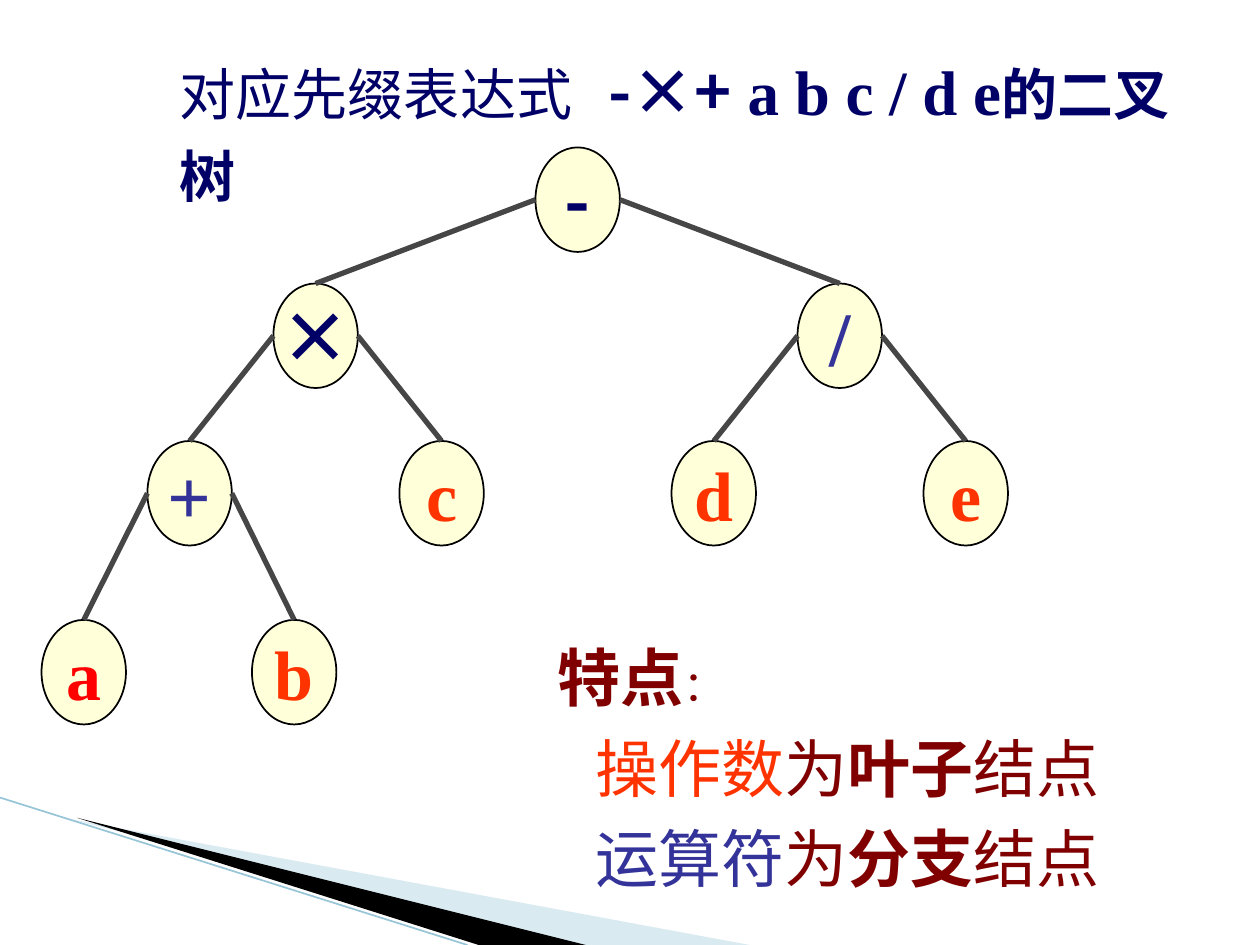
from lxml import etree
from pptx import Presentation
from pptx.dml.color import RGBColor
from pptx.enum.shapes import MSO_CONNECTOR, MSO_SHAPE
from pptx.enum.text import MSO_ANCHOR, PP_ALIGN
from pptx.oxml.ns import qn
from pptx.util import Inches, Pt

LINE, OVAL = MSO_CONNECTOR.STRAIGHT, MSO_SHAPE.OVAL
MIDDLE, CENTER = MSO_ANCHOR.MIDDLE, PP_ALIGN.CENTER
SERIF, SANS = "Times New Roman", "Noto Sans CJK SC"
COLORS = {
    "navy": "000066", "operator": "333399", "operand": "FF3300", "red": "FF0000",
    "maroon": "800000", "node": "FFFFD9", "black": "000000", "edge": "464646",
    "band": "A0CBDC", "rule": "97C5D8",
}
NODE_W, NODE_H = 0.67, 0.83
# name: (left, top) in the tree, symbol, font, size, colour
NODES = {
    "minus": (3.92, 0, "-", SANS, 40, "navy"),
    "times": (1.84, 1.08, "×", SANS, 40, "navy"),
    "divide": (6, 1.08, "/", SERIF, 44, "operator"),
    "plus": (0.84, 2.33, "+", SERIF, 44, "operator"),
    "c": (2.84, 2.33, "c", SERIF, 40, "operand"),
    "d": (5, 2.33, "d", SERIF, 40, "operand"),
    "e": (7, 2.33, "e", SERIF, 40, "operand"),
    "a": (0, 3.75, "a", SERIF, 40, "red"),
    "b": (1.67, 3.75, "b", SERIF, 40, "operand"),
}
CHILDREN = {
    "minus": ("times", "divide"),
    "times": ("plus", "c"),
    "divide": ("d", "e"),
    "plus": ("a", "b"),
}


def rgb(name):
    return RGBColor.from_string(COLORS[name])


def style(font, size, color, bold=False, face=SERIF):
    font.name, font.size, font.bold = face, Pt(size), bold
    font.color.rgb = rgb(color)


def add_run(paragraph, text, size, color, bold=False, face=SERIF):
    run = paragraph.add_run()
    run.text = text
    style(run.font, size, color, bold, face)
    east_asian = etree.SubElement(run.font._element, qn("a:ea"))
    east_asian.set("typeface", SANS)


def add_line(slide, start, end, color, width):
    line = slide.shapes.add_connector(LINE, *map(Inches, start + end))
    line.line.color.rgb = rgb(color)
    line.line.width = Pt(width)
    etree.SubElement(line._element.spPr, qn("a:effectLst"))


def add_text_frame(slide, left, top, width, height):
    frame = slide.shapes.add_textbox(*map(Inches, (left, top, width, height))).text_frame
    frame.word_wrap = True
    return frame


def add_wedge(slide, points, color, opacity=100):
    corners = [(Inches(x), Inches(y)) for x, y in points]
    builder = slide.shapes.build_freeform(*corners[0])
    builder.add_line_segments(corners[1:], close=True)
    wedge = builder.convert_to_shape()
    wedge.shadow.inherit = False
    wedge.fill.solid()
    wedge.fill.fore_color.rgb = rgb(color)
    wedge.line.fill.background()
    if opacity < 100:
        fill_color = wedge._element.spPr.find(qn("a:solidFill"))[0]
        etree.SubElement(fill_color, qn("a:alpha")).set("val", str(opacity * 1000))


def add_corner_swoosh(slide, left, top):
    def place(*points):
        return [(left + x, top + y) for x, y in points]

    add_wedge(slide, place((0.55, 0.17), (5.95, 1.17), (4.56, 1.17)), "band", 40)
    add_wedge(slide, place((0.61, 0.16), (4.65, 1.17), (3.8, 1.17)), "black")
    add_line(slide, *place((0, 0), (3.71, 1.17)), "rule", 0.95)


def add_heading(slide, left, top, width, height):
    paragraph = add_text_frame(slide, left, top, width, height).paragraphs[0]
    paragraph.line_spacing = 1.2
    tabs = etree.SubElement(paragraph._p.get_or_add_pPr(), qn("a:tabLst"))
    etree.SubElement(tabs, qn("a:tab"), pos=str(Inches(3.4)), algn="l")
    add_run(paragraph, "对应先缀表达式\t", 32, "navy")
    add_run(paragraph, "-×+", 36, "navy", True, SANS)
    add_run(paragraph, " a b c / d e", 36, "navy", True)
    add_run(paragraph, "的二叉树", 32, "navy", True)


def add_node(slide, left, top, symbol, face, size, color):
    node = slide.shapes.add_shape(OVAL, *map(Inches, (left, top, NODE_W, NODE_H)))
    node.shadow.inherit = False
    node.fill.solid()
    node.fill.fore_color.rgb = rgb("node")
    node.line.color.rgb = rgb("black")
    node.line.width = Pt(1)
    frame = node.text_frame
    frame.word_wrap = False
    frame.vertical_anchor = MIDDLE
    paragraph = frame.paragraphs[0]
    paragraph.text = symbol
    paragraph.alignment = CENTER
    style(paragraph.font, size, color, True, face)


def add_expression_tree(slide, left, top):
    for x, y, *label in NODES.values():
        add_node(slide, left + x, top + y, *label)
    for parent, children in CHILDREN.items():
        x, y = NODES[parent][:2]
        for side, child in enumerate(children):
            child_x, child_y = NODES[child][:2]
            start = (left + x + side * NODE_W, top + y + NODE_H / 2)
            end = (left + child_x + NODE_W / 2, top + child_y)
            add_line(slide, start, end, "edge", 3)


def add_features(slide, left, top, width, height):
    frame = add_text_frame(slide, left, top, width, height)
    title = frame.paragraphs[0]
    title.line_spacing = 1.2
    add_run(title, "特点", 36, "maroon", True)
    add_run(title, "：", 24, "maroon")
    for term, color, kind in (("操作数", "operand", "叶子"), ("运算符", "operator", "分支")):
        paragraph = frame.add_paragraph()
        paragraph.line_spacing = 1.2
        paragraph._p.get_or_add_pPr().set("marL", str(Inches(0.3)))
        add_run(paragraph, term, 36, color)
        add_run(paragraph, "为", 36, "maroon")
        add_run(paragraph, kind, 36, "maroon", True)
        add_run(paragraph, "结点", 36, "maroon")


def main():
    deck = Presentation()
    deck.slide_width, deck.slide_height = Inches(10), Inches(7.5)
    slide = deck.slides.add_slide(deck.slide_layouts[6])
    add_corner_swoosh(slide, 0, 6.33)
    add_heading(slide, 1.33, 0.25, 8.46, 0.82)
    add_expression_tree(slide, 0.33, 1.17)
    add_features(slide, 4.33, 4.9, 4.58, 2.26)
    deck.save("out.pptx")


if __name__ == "__main__":
    main()
